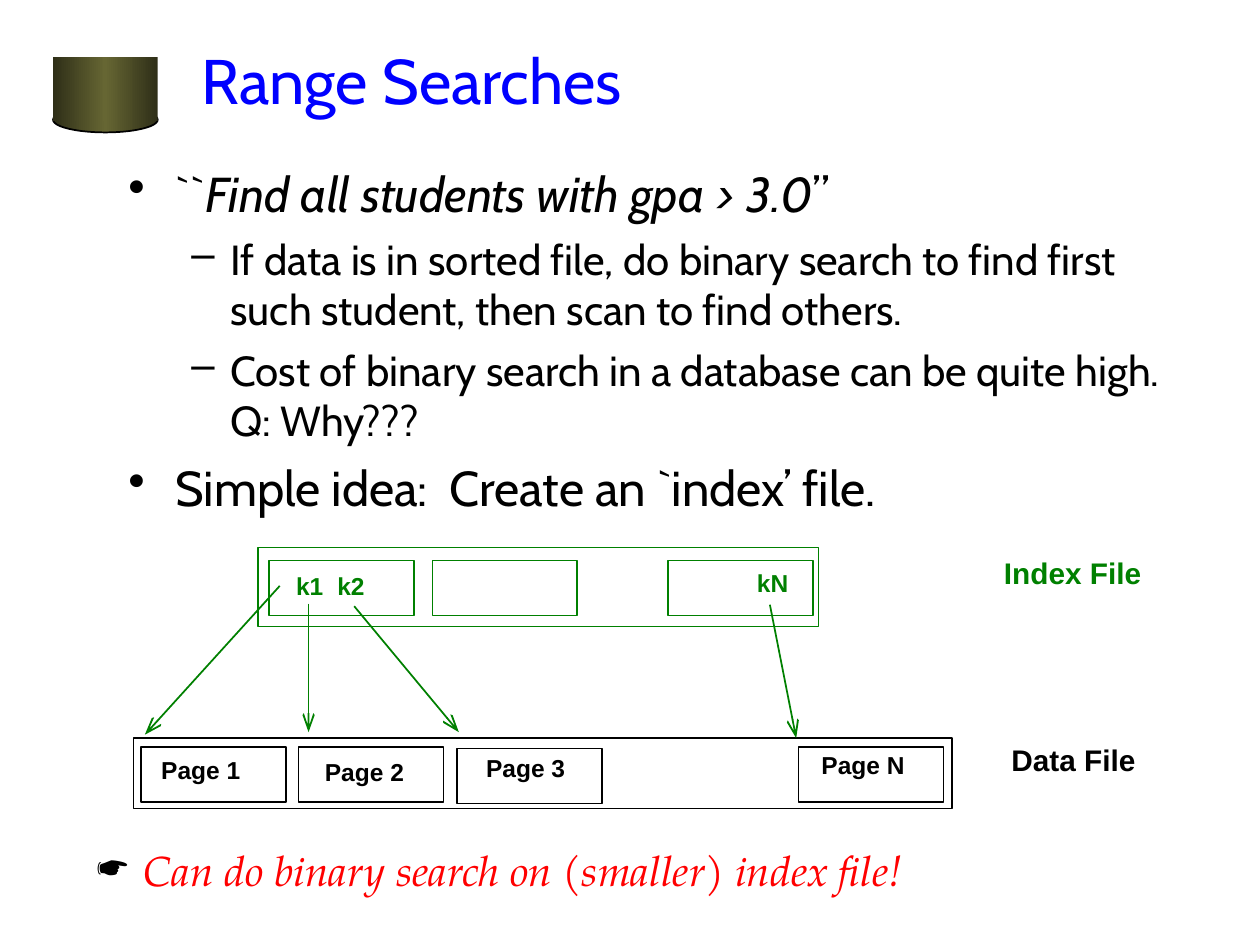
"""Build the slide on range searches with an index file over a data file."""
import copy

import pptx
import pptx.dml.color
import pptx.enum.shapes
import pptx.enum.text
import pptx.oxml.ns
import pptx.util
from lxml import etree

Cm, Pt = pptx.util.Cm, pptx.util.Pt
RGBColor = pptx.dml.color.RGBColor
MSO_SHAPE = pptx.enum.shapes.MSO_SHAPE
qn = pptx.oxml.ns.qn

BLACK = RGBColor(0, 0, 0)
BLUE = RGBColor(0, 0, 255)
RED = RGBColor(255, 0, 0)
GREEN = RGBColor(0, 128, 0)
DARK_OLIVE = RGBColor(0x2F, 0x2F, 0x18)
OLIVE = RGBColor(0x66, 0x66, 0x33)

presentation = pptx.Presentation()
presentation.slide_width, presentation.slide_height = Cm(25.4), Cm(19.05)
slide = presentation.slides.add_slide(presentation.slide_layouts[6])
shapes = slide.shapes


def add_text(box, paragraphs, font_name, wrap=True):
    """Fill a new text box; a paragraph is (size, bullet, margin, hanging, space before, runs)."""
    frame = shapes.add_textbox(*[Cm(v) for v in box]).text_frame
    frame.word_wrap = wrap
    if not wrap:
        frame.auto_size = pptx.enum.text.MSO_AUTO_SIZE.SHAPE_TO_FIT_TEXT
    for i, (size, bullet, margin, hanging, before, runs) in enumerate(paragraphs):
        paragraph = frame.add_paragraph() if i else frame.paragraphs[0]
        if bullet:
            properties = paragraph._p.get_or_add_pPr()
            properties.set("marL", str(Cm(margin)))
            properties.set("indent", str(-Cm(hanging)))
            bullet_color = etree.SubElement(properties, qn("a:buClr"))
            etree.SubElement(bullet_color, qn("a:srgbClr"), val=str(BLACK))
            etree.SubElement(properties, qn("a:buChar"), char=bullet)
        if before:
            paragraph.space_before = Pt(before)
        for words, color, bold, italic in runs:
            run = paragraph.add_run()
            run.text = words
            run.font.name, run.font.size = font_name, Pt(size)
            run.font.color.rgb = color
            run.font.bold, run.font.italic = bold, italic
    return frame


def add_outline(box, color):
    """Draw an unfilled rectangle."""
    outline = shapes.add_shape(MSO_SHAPE.RECTANGLE, *[Cm(v) for v in box])
    outline.shadow.inherit = False
    outline.fill.background()
    outline.line.color.rgb, outline.line.width = color, Pt(1)


for kind, top, height in [(MSO_SHAPE.OVAL, 2.16, 0.51), (MSO_SHAPE.RECTANGLE, 1.14, 1.3)]:
    drum = shapes.add_shape(kind, Cm(1.07), Cm(top), Cm(2.11), Cm(height))
    drum.shadow.inherit = False
    drum.fill.gradient()
    drum.fill.gradient_angle = 0
    stop_list = drum._element.find(".//" + qn("a:gsLst"))
    stop_list.insert(1, copy.deepcopy(stop_list[0]))
    for stop, position, color in zip(
        drum.fill.gradient_stops, (0, 0.5, 1), (DARK_OLIVE, OLIVE, DARK_OLIVE)
    ):
        stop.position, stop.color.rgb = position, color
    if kind == MSO_SHAPE.OVAL:
        drum.line.color.rgb, drum.line.width = BLACK, Pt(1)
    else:
        drum.line.fill.background()

title = add_text(
    (3.81, 0, 21.59, 3.18),
    [(36, None, 0, 0, 0, [("Range Searches", BLUE, False, False)])],
    "Cabin",
)
title.vertical_anchor = pptx.enum.text.MSO_ANCHOR.MIDDLE

topic = (28, "•", 0.95, 0.95)
detail = (24, "–", 2.06, 0.79)
body = [
    (*topic, 0, [
        ("``", BLACK, False, False),
        ("Find all students with gpa > 3.0", BLACK, False, True),
        ("’’", BLACK, False, False),
    ]),
    (*detail, 6, [(
        "If data is in sorted file, do binary search to find first such student, "
        "then scan to find others.", BLACK, False, False,
    )]),
    (*detail, 6, [(
        "Cost of binary search in a database can be quite high. Q: Why???",
        BLACK, False, False,
    )]),
    (*topic, 7, [("Simple idea:  Create an `index’ file.", BLACK, False, False)]),
]
add_text((2.34, 3.18, 22.02, 13.97), body, "Cabin")

conclusion = [("Can do binary search on (smaller) index file!", RED, False, True)]
add_text(
    (1.7, 16.89, 17.88, 1.27),
    [(24, "☛", 0.95, 0.95, 0, conclusion)],
    "TeX Gyre Pagella",
    wrap=False,
)

page_width, page_height = 2.92, 1.11
data_pages = [(2.84, 15.06), (6.02, 15.06), (9.22, 15.09), (16.1, 15.06)]
index_pages = [(5.43, 11.3), (8.72, 11.3), (13.47, 11.3)]
files = [
    ((2.69, 14.88, 16.5, 1.42), data_pages, BLACK),
    ((5.2, 11.04, 11.3, 1.59), index_pages, GREEN),
]
for file_box, pages, color in files:
    add_outline(file_box, color)
    for left, top in pages:
        add_outline((left, top, page_width, page_height), color)

pointers = [
    (5.64, 11.81, 2.92, 14.81),
    (6.22, 12.17, 6.22, 14.76),
    (7.14, 12.22, 9.25, 14.76),
    (15.52, 12.19, 16.05, 14.88),
]
for ends in pointers:
    pointer = shapes.add_connector(
        pptx.enum.shapes.MSO_CONNECTOR.STRAIGHT, *[Cm(v) for v in ends]
    )
    pointer.line.color.rgb, pointer.line.width = GREEN, Pt(1)
    etree.SubElement(
        pointer.line._get_or_add_ln(), qn("a:tailEnd"), type="arrow", w="med", len="lg"
    )
    etree.SubElement(pointer._element.spPr, qn("a:effectLst"))

labels = [
    ("Page 1", 3, 15.09, 2.11, 14, BLACK),
    ("Page 2", 6.3, 15.14, 2.11, 14, BLACK),
    ("Page 3", 9.55, 15.06, 2.11, 14, BLACK),
    ("Page N", 16.31, 14.99, 2.18, 14, BLACK),
    ("Data File", 20.14, 14.83, 3.02, 17, BLACK),
    ("k1", 5.72, 11.38, 1.07, 14, GREEN),
    ("k2", 6.55, 11.38, 1.07, 14, GREEN),
    ("kN", 15.01, 11.33, 1.14, 14, GREEN),
    ("Index File", 19.99, 11.05, 3.28, 17, GREEN),
]
for words, left, top, width, size, color in labels:
    height = 0.84 if size == 14 else 0.97
    add_text(
        (left, top, width, height),
        [(size, None, 0, 0, 0, [(words, color, True, False)])],
        "Arial",
        wrap=False,
    )

presentation.save("out.pptx")
